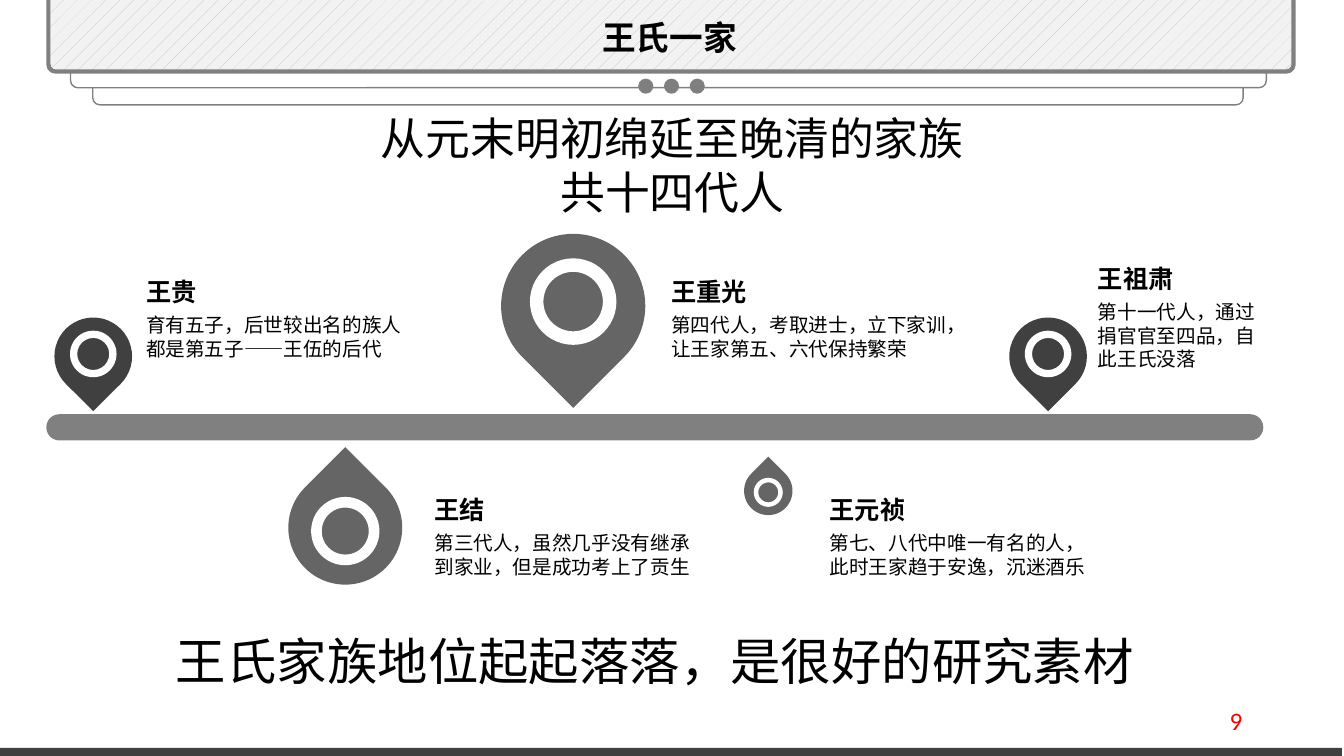
"""Build the slide on the Wang family and its timeline."""
import dataclasses

import pptx
import pptx.dml.color
import pptx.enum.dml
import pptx.enum.shapes
import pptx.enum.text
import pptx.oxml
import pptx.oxml.ns
import pptx.util

Inches = pptx.util.Inches
Pt = pptx.util.Pt
Shape = pptx.enum.shapes.MSO_SHAPE
Align = pptx.enum.text.PP_ALIGN
Anchor = pptx.enum.text.MSO_ANCHOR
AutoSize = pptx.enum.text.MSO_AUTO_SIZE


@dataclasses.dataclass(frozen=True)
class Theme:
    """Colours, fonts and type sizes of the slide."""
    black: str = "000000"
    white: str = "FFFFFF"
    dark: str = "404040"
    pin: str = "656565"
    dot: str = "7F7F7F"
    bar: str = "808080"
    hatch: str = "BFBFBF"
    panel: str = "F2F2F2"
    number: str = "FF0000"
    cjk: str = "Noto Sans CJK JP"
    latin: str = "Calibri"
    body: int = 14
    name: int = 18
    title: int = 24
    lead: int = 32
    closing: int = 36
    leading: float = 1.2


def rgb(value):
    """Turn a hex string into a colour."""
    return pptx.dml.color.RGBColor.from_string(value)


def write_text(frame, text, *, size, color, font, cjk, leading,
               bold=False, align=Align.LEFT, before=0):
    """Write the lines of text as formatted paragraphs."""
    for index, line in enumerate(text.split("\n")):
        paragraph = frame.add_paragraph() if index else frame.paragraphs[0]
        paragraph.alignment = align
        paragraph.line_spacing = Pt(round(size * leading, 1))
        if before:
            paragraph.space_before = Pt(before)
        run = paragraph.add_run()
        run.text = line
        run.font.size = Pt(size)
        run.font.bold = bold
        run.font.color.rgb = rgb(color)
        run.font.name = font
        east_asian = pptx.oxml.parse_xml(
            f'<a:ea {pptx.oxml.ns.nsdecls("a")} typeface="{cjk}"/>')
        run.font._element.append(east_asian)


class SlideBuilder:
    """Draws styled elements on the current slide."""

    def __init__(self, slide, theme):
        """Keep the slide and its theme."""
        self.slide = slide
        self.theme = theme

    def shape(self, kind, left, top, width, height, fill=None, line=None,
              weight=1, adjust=None, rotation=0):
        """Add a preset shape."""
        shape = self.slide.shapes.add_shape(
            kind, Inches(left), Inches(top), Inches(width), Inches(height))
        shape.shadow.inherit = False
        shape.rotation = rotation
        if adjust is not None:
            shape.adjustments[0] = adjust
        if fill:
            shape.fill.solid()
            shape.fill.fore_color.rgb = rgb(fill)
        else:
            shape.fill.background()
        if line:
            shape.line.color.rgb = rgb(line)
            shape.line.width = Pt(weight)
        else:
            shape.line.fill.background()
        return shape

    def panel(self, left, top, width, fill=None, weight=1):
        """Add one layer of the header."""
        return self.shape(Shape.ROUNDED_RECTANGLE, left, top, width, 3.9, fill,
                          self.theme.bar, weight, adjust=0.018)

    def hatched_panel(self, left, top, width):
        """Add the patterned front layer of the header."""
        fill = self.panel(left, top, width, weight=3).fill
        fill.patterned()
        fill.pattern = pptx.enum.dml.MSO_PATTERN.PERCENT_5
        fill.fore_color.rgb = rgb(self.theme.hatch)
        fill.back_color.rgb = rgb(self.theme.panel)

    def pin(self, left, top, size, color, above):
        """Add a map pin that points at the timeline."""
        self.shape(Shape.TEAR, left, top, size, size, color,
                   rotation=135 if above else 315)
        ring = 0.6 * size
        inset = (size - ring) / 2
        shift = 0.03 * size * (-1 if above else 1)
        self.shape(Shape.DONUT, left + inset, top + inset + shift, ring, ring,
                   self.theme.white, adjust=0.156)

    def text(self, text, left, top, width, height, size, wrap=True, grow=True,
             anchor=Anchor.TOP, color=None, font=None, **style):
        """Add a text box."""
        box = self.slide.shapes.add_textbox(
            Inches(left), Inches(top), Inches(width), Inches(height))
        frame = box.text_frame
        frame.word_wrap = wrap
        frame.auto_size = AutoSize.SHAPE_TO_FIT_TEXT if grow else AutoSize.NONE
        frame.vertical_anchor = anchor
        write_text(frame, text, size=size, color=color or self.theme.black,
                   font=font or self.theme.cjk, cjk=self.theme.cjk,
                   leading=self.theme.leading, **style)

    def ancestor(self, name, story, left, top, name_width, width, height):
        """Add the name and story of one family member."""
        self.text(story, left, top + 0.37, width, height, self.theme.body,
                  before=6)
        self.text(name, left, top, name_width, 0.4, self.theme.name,
                  wrap=False, bold=True)


def main():
    """Build and save the slide."""
    deck = pptx.Presentation()
    deck.slide_width = Inches(13.33)
    deck.slide_height = Inches(7.5)
    theme = Theme()
    page = SlideBuilder(deck.slides.add_slide(deck.slide_layouts[6]), theme)

    page.panel(0.92, -2.86, 11.41)
    page.panel(0.7, -3.03, 11.86, theme.white)
    page.hatched_panel(0.48, -3.19, 12.35)
    page.shape(Shape.RECTANGLE, -0.02, 7.42, 13.33, 0.08, theme.dark)
    for index in range(3):
        page.shape(Shape.OVAL, 6.33 + 0.255 * index, 0.78, 0.15, 0.15, theme.dot)
    page.shape(Shape.ROUNDED_RECTANGLE, 0.46, 4.11, 12.07, 0.26, theme.bar,
               adjust=0.494)

    for left, top, size, color, above in (
            (0.54, 3.15, 0.77, theme.dark, True),
            (4.97, 2.32, 1.43, theme.pin, True),
            (2.86, 4.67, 1.13, theme.pin, False),
            (7.38, 4.63, 0.48, theme.pin, False),
            (10.01, 3.15, 0.77, theme.dark, True)):
        page.pin(left, top, size, color, above)

    page.text("王氏一家", 4.26, 0.12, 4.76, 0.5, theme.title, bold=True,
              align=Align.CENTER)
    for ancestor in (
            ("王贵", "育有五子，后世较出名的族人都是第五子——王伍的后代",
             1.35, 2.69, 0.78, 2.88, 0.57),
            ("王重光", "第四代人，考取进士，立下家训，让王家第五、六代保持繁荣",
             6.56, 2.69, 1.03, 3.03, 0.57),
            ("王祖肃", "第十一代人，通过捐官官至四品，自此王氏没落",
             10.79, 2.56, 0.96, 1.95, 0.81),
            ("王结", "第三代人，虽然几乎没有继承到家业，但是成功考上了贡生",
             4.21, 4.85, 0.78, 2.88, 0.57),
            ("王元祯", "第七、八代中唯一有名的人，此时王家趋于安逸，沉迷酒乐",
             8.13, 4.85, 0.96, 2.88, 0.57)):
        page.ancestor(*ancestor)

    page.text("王氏家族地位起起落落，是很好的研究素材", 1.6, 6.2, 9.79, 0.71,
              theme.closing, wrap=False, font=theme.latin, align=Align.CENTER)
    page.text("从元末明初绵延至晚清的家族\n共十四代人", 3.65, 1.05, 6.04, 1.18,
              theme.lead, wrap=False, font=theme.latin, align=Align.CENTER)
    page.text("9", 9.42, 6.95, 3, 0.4, theme.name, grow=False,
              anchor=Anchor.MIDDLE, color=theme.number, font=theme.latin,
              align=Align.RIGHT)
    deck.save("out.pptx")


if __name__ == "__main__":
    main()
